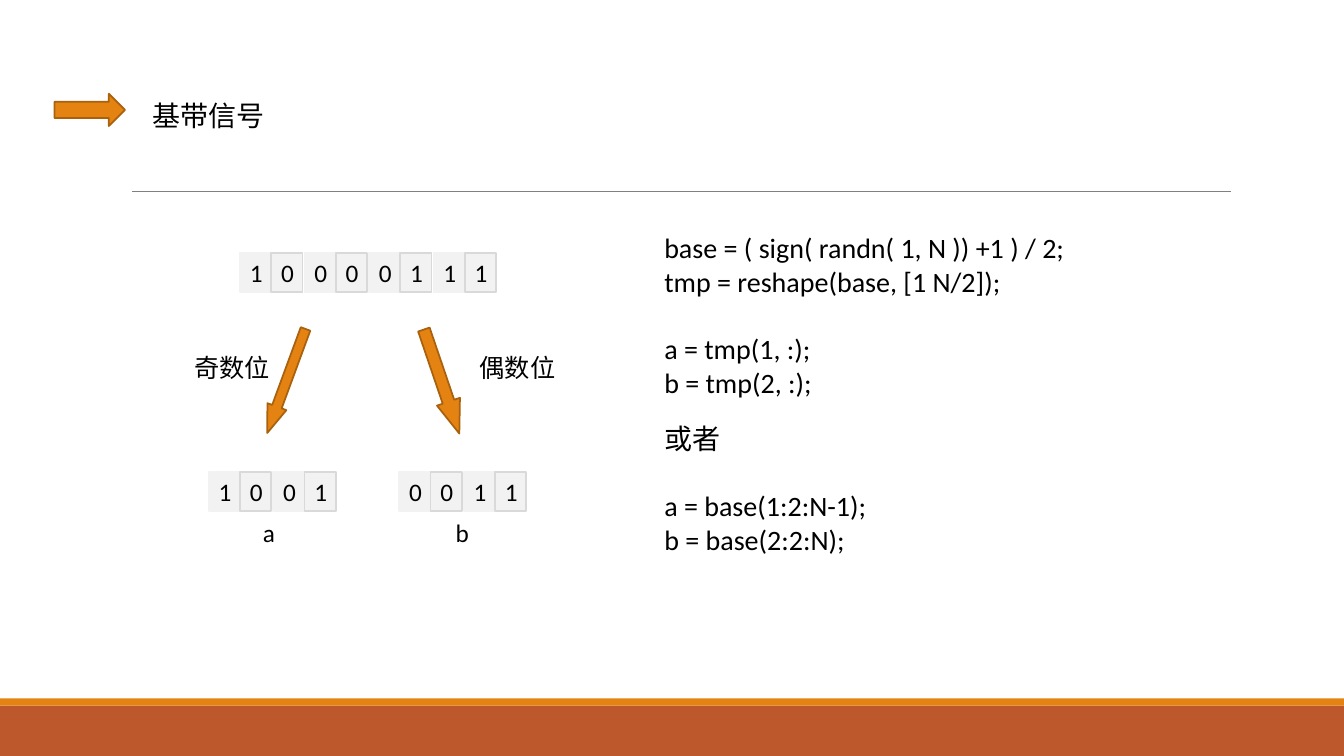
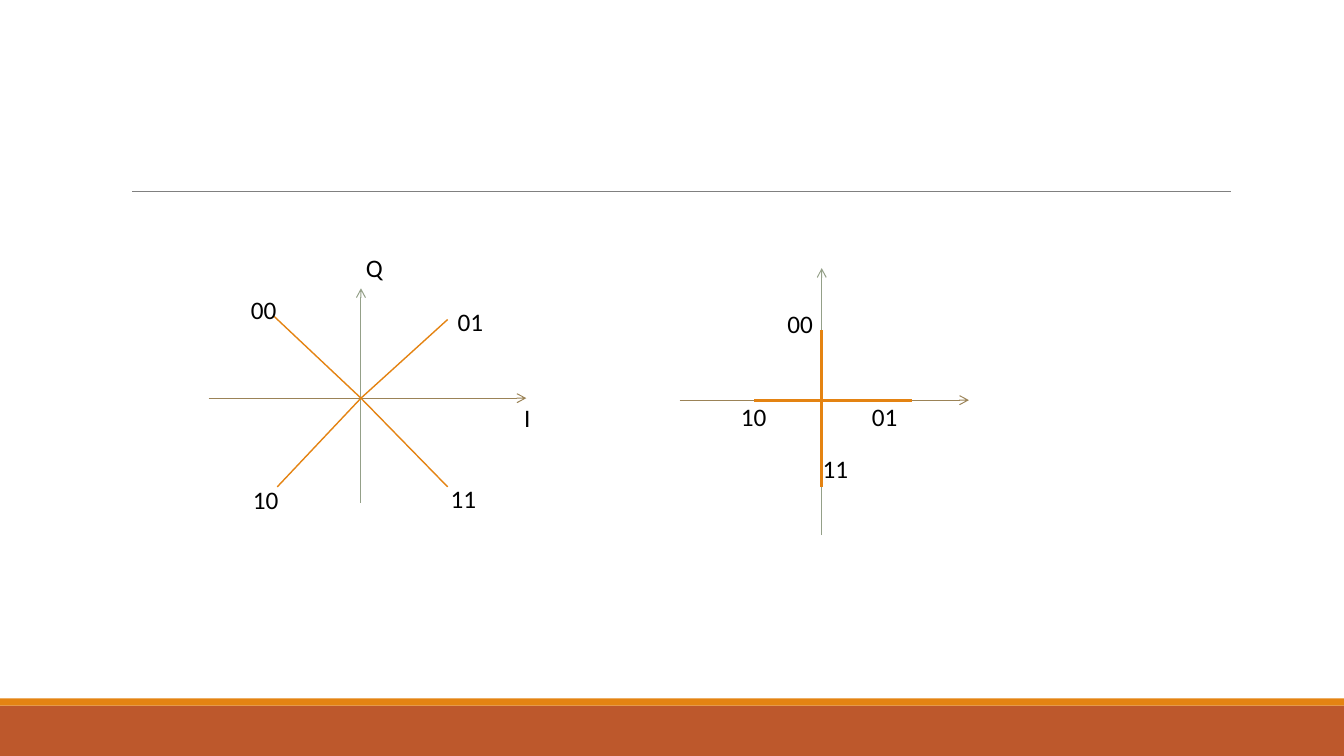
from lxml import etree
from pptx import Presentation
from pptx.dml.color import RGBColor
from pptx.enum.shapes import MSO_CONNECTOR, MSO_SHAPE
from pptx.enum.text import MSO_ANCHOR, PP_ALIGN
from pptx.oxml.ns import qn
from pptx.util import Inches, Pt

RECT, RIGHT, DOWN = MSO_SHAPE.RECTANGLE, MSO_SHAPE.RIGHT_ARROW, MSO_SHAPE.DOWN_ARROW
STRAIGHT = MSO_CONNECTOR.STRAIGHT
TOP, MIDDLE, LEFT = MSO_ANCHOR.TOP, MSO_ANCHOR.MIDDLE, PP_ALIGN.LEFT

# Shared style
W, H = 13.33, 7.5
FONT, BLACK = "Calibri", "000000"
ORANGE, RUST, BROWN, GREY = "E48312", "BD582C", "A9610D", "808080"
AXIS_X, AXIS_Y = "9B8357", "94A088"
CELL, CELL_EDGE = "F2F2F2", "D9D9D9"
CELL_W, CELL_H, PAIR_W = 0.31, 0.39, 0.64
LABEL_H = 0.4

# Slide 1 content
TITLE = "基带信号"
BIT_ROWS = [("10000111", 2.38, 2.51), ("1001", 2.07, 4.68), ("0011", 3.96, 4.68)]
SPLIT_ARROWS = [(2.74, 3.23, 0.2, 1.1, 20.2), (4.26, 3.24, 0.24, 1.09, -18.8)]
BIT_LABELS = [("奇数位", 1.83, 3.45, 1.1), ("偶数位", 4.66, 3.45, 1.1),
              ("a", 2.51, 5.08, 0.46), ("b", 4.42, 5.08, 0.46)]
# Each box: top, width, height, groups of lines separated by one line's gap
CODE = [
    (2.24, 4.87, 1.78, [["base = ( sign( randn( 1, N )) +1 ) / 2;",
                         "tmp = reshape(base, [1 N/2]);"],
                        ["a = tmp(1, :);", "b = tmp(2, :);"]]),
    (4.13, 4.51, 1.45, [["或者"], ["a = base(1:2:N-1);", "b = base(2:2:N);"]]),
]

# Slide 2 content: two constellations
PLOTS = [
    dict(origin=(3.58, 3.95), x=(2.07, 5.22), y=(4.99, 2.86), weight=1,
         points=[(4.44, 3.17), (4.44, 4.83), (2.72, 3.14), (2.75, 4.83)],
         labels=[("01", 4.44, 2.99), ("10", 2.41, 4.76), ("00", 2.39, 2.87),
                 ("11", 4.37, 4.75), ("I", 5.1, 3.94), ("Q", 3.53, 2.45)]),
    dict(origin=(8.15, 3.97), x=(6.74, 9.61), y=(5.31, 2.66), weight=2.25,
         points=[(9.05, 3.97), (8.15, 3.27), (7.48, 3.97), (8.15, 4.83)],
         labels=[("01", 8.55, 3.93), ("00", 7.71, 3.01),
                 ("10", 7.25, 3.93), ("11", 8.06, 4.45)]),
]


def rgb(value):
    return RGBColor.from_string(value)


def write(p, text, size=18, color=BLACK, align=LEFT, before=0):
    p.alignment, p.space_before = align, Pt(before)
    r = p.add_run()
    r.text = text
    r.font.size, r.font.name = Pt(size), FONT
    r.font.color.rgb = rgb(color)


def shape(slide, kind, x, y, w, h, fill, edge=None, turn=0):
    sp = slide.shapes.add_shape(kind, *map(Inches, (x, y, w, h)))
    sp.shadow.inherit = False
    sp.rotation = turn
    sp.fill.solid()
    sp.fill.fore_color.rgb = rgb(fill)
    if edge:
        sp.line.color.rgb = rgb(edge)
        sp.line.width = Pt(1.25)
    else:
        sp.line.fill.background()
    return sp


def line(slide, start, end, color, weight, arrow=False):
    cx = slide.shapes.add_connector(STRAIGHT, *map(Inches, (*start, *end)))
    cx.line.color.rgb = rgb(color)
    cx.line.width = Pt(weight)
    props = cx.element.spPr
    if arrow:
        etree.SubElement(props.find(qn("a:ln")), qn("a:tailEnd"), type="arrow")
    etree.SubElement(props, qn("a:effectLst"))
    return cx


def text_box(slide, x, y, w, h):
    tf = slide.shapes.add_textbox(*map(Inches, (x, y, w, h))).text_frame
    tf.word_wrap = True
    return tf


def label(slide, text, x, y, w):
    write(text_box(slide, x, y, w, LABEL_H).paragraphs[0], text)


def bit_row(slide, bits, left, top):
    for i, bit in enumerate(bits):
        x = left + i // 2 * PAIR_W + i % 2 * CELL_W
        sp = shape(slide, RECT, x, top, CELL_W, CELL_H, CELL, CELL_EDGE if i % 2 else CELL)
        tf = sp.text_frame
        tf.word_wrap, tf.vertical_anchor = False, MIDDLE
        tf.margin_left, tf.margin_right = Inches(0.1), 0
        write(tf.paragraphs[0], bit)


def code_box(slide, top, w, h, groups):
    tf = text_box(slide, 6.49, top, w, h)
    p = tf.paragraphs[0]
    for g, lines in enumerate(groups):
        for i, text in enumerate(lines):
            if g or i:
                p = tf.add_paragraph()
            write(p, text, size=20, before=24 if g and not i else 0)


def style_layout(layout, slide):
    """Put the bands, the rule and the title's place on the layout."""
    parts = [shape(slide, RECT, 0, 7, W, 0.5, RUST),
             shape(slide, RECT, 0, 6.93, W, 0.07, ORANGE),
             line(slide, (1.31, 1.9), (12.21, 1.9), GREY, 0.5)]
    for i, part in enumerate(parts):
        part.element.xpath(".//p:cNvPr")[0].set("id", str(20 + i))
        layout.shapes.element.insert(2 + i, part.element)
    title = layout.placeholders[0]
    title.left, title.top, title.width, title.height = map(Inches, (1.41, 0.93, 1.39, 0.44))
    title.text_frame.vertical_anchor = TOP


def baseband_slide(slide):
    write(slide.shapes.title.text_frame.paragraphs[0], TITLE, size=20)
    shape(slide, RIGHT, 0.54, 0.93, 0.7, 0.32, ORANGE, BROWN)
    for row in BIT_ROWS:
        bit_row(slide, *row)
    for x, y, w, h, turn in SPLIT_ARROWS:
        sp = shape(slide, DOWN, x, y, w, h, ORANGE, BROWN, turn)
        sp.adjustments[1] = 1.39
    for item in BIT_LABELS:
        label(slide, *item)
    for box in CODE:
        code_box(slide, *box)


def constellation_slide(slide):
    title = slide.shapes.title.element
    title.getparent().remove(title)
    for plot in PLOTS:
        ox, oy = plot["origin"]
        (x1, x2), (y1, y2) = plot["x"], plot["y"]
        line(slide, (x1, oy), (x2, oy), AXIS_X, 0.75, arrow=True)
        line(slide, (ox, y1), (ox, y2), AXIS_Y, 0.75, arrow=True)
        for point in plot["points"]:
            line(slide, (ox, oy), point, ORANGE, plot["weight"])
        for text, x, y in plot["labels"]:
            label(slide, text, x, y, 0.65 if len(text) > 1 else 0.46)


def main():
    prs = Presentation()
    prs.slide_width, prs.slide_height = Inches(W), Inches(H)
    layout = prs.slide_layouts[5]
    first, second = (prs.slides.add_slide(layout) for _ in range(2))
    style_layout(layout, first)
    baseband_slide(first)
    constellation_slide(second)
    prs.save("out.pptx")


if __name__ == "__main__":
    main()
